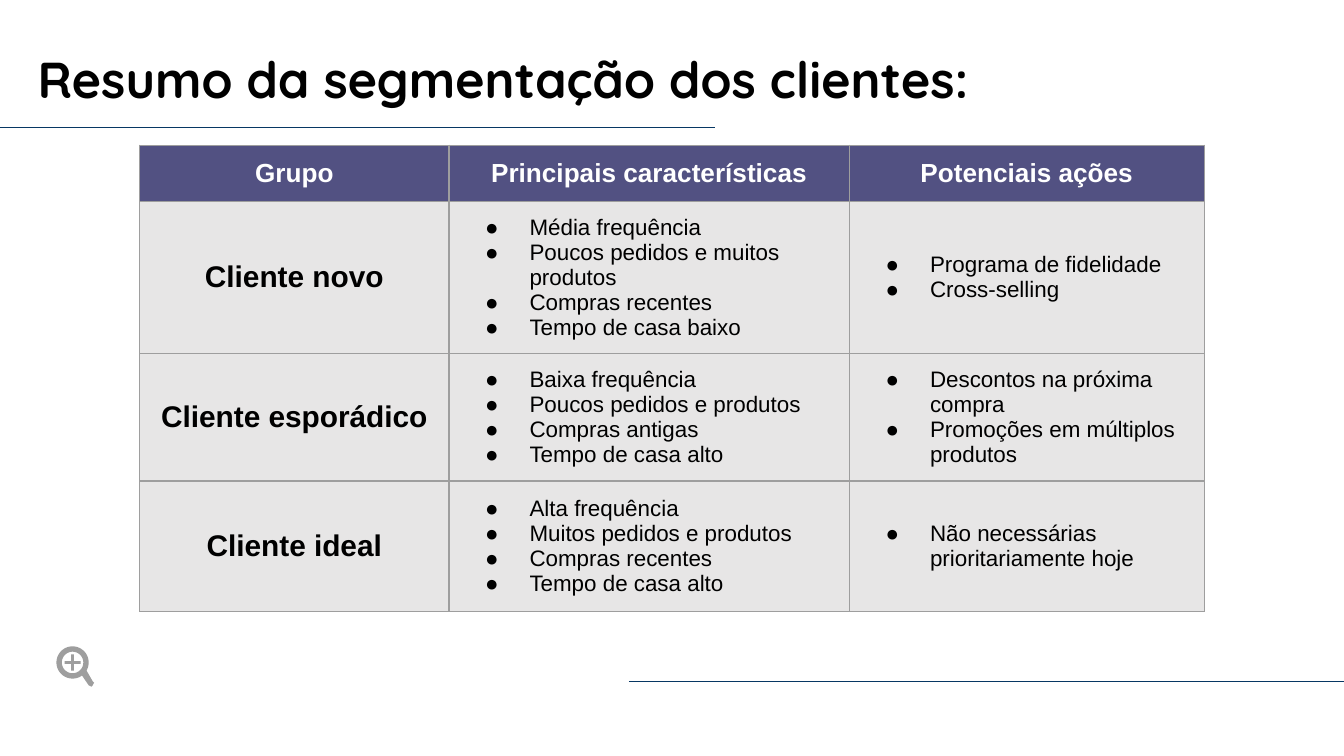
from math import cos, radians, sin

from lxml.etree import SubElement
from pptx import Presentation
from pptx.dml.color import RGBColor
from pptx.enum.shapes import MSO_CONNECTOR
from pptx.enum.text import MSO_ANCHOR, MSO_AUTO_SIZE, PP_ALIGN
from pptx.oxml.ns import qn
from pptx.util import Inches, Pt

HUES = {
    "rule": "073763",
    "head": "525182",
    "body": "E7E6E6",
    "edge": "9E9E9E",
    "ink": "000000",
    "white": "FFFFFF",
}
WIDTHS = [2.3, 2.98, 2.64]
HEIGHTS = [0.39, 1.08, 0.9, 0.97]
HEADS = ["Grupo", "Principais características", "Potenciais ações"]
GROUPS = [
    (
        "Cliente novo",
        ["Média frequência", "Poucos pedidos e muitos produtos",
         "Compras recentes", "Tempo de casa baixo"],
        ["Programa de fidelidade", "Cross-selling"],
    ),
    (
        "Cliente esporádico",
        ["Baixa frequência", "Poucos pedidos e produtos",
         "Compras antigas", "Tempo de casa alto"],
        ["Descontos na próxima compra", "Promoções em múltiplos produtos"],
    ),
    (
        "Cliente ideal",
        ["Alta frequência", "Muitos pedidos e produtos",
         "Compras recentes", "Tempo de casa alto"],
        ["Não necessárias prioritariamente hoje"],
    ),
]


def color(name):
    return RGBColor.from_string(HUES[name])


def add_run(para, text, size, hue="ink", bold=False, face="Arial"):
    run = para.add_run()
    run.text = text
    run.font.name = face
    run.font.size = Pt(size)
    run.font.bold = bold
    run.font.color.rgb = color(hue)


def set_inset(item, side, top):
    item.margin_left = item.margin_right = Inches(side)
    item.margin_top = item.margin_bottom = Inches(top)


def add_title(slide, text):
    title = slide.shapes.title
    title.left, title.top = Inches(0.21), Inches(0.29)
    title.width, title.height = Inches(8.62), Inches(0.65)
    frame = title.text_frame
    frame.word_wrap = True
    frame.auto_size = MSO_AUTO_SIZE.NONE
    frame.vertical_anchor = MSO_ANCHOR.MIDDLE
    set_inset(frame, 0.07, 0.04)
    para = frame.paragraphs[0]
    para.alignment = PP_ALIGN.LEFT
    para.line_spacing = 0.9
    add_run(para, text, 27, bold=True, face="Quicksand")


def add_rule(slide, start, end, top):
    rule = slide.shapes.add_connector(
        MSO_CONNECTOR.STRAIGHT,
        Inches(start), Inches(top), Inches(end), Inches(top),
    )
    rule.line.color.rgb = color("rule")
    rule.line.width = Pt(0.75)
    SubElement(rule._element.spPr, qn("a:effectLst"))


def add_edges(cell):
    props = cell._tc.get_or_add_tcPr()
    for side in ("lnL", "lnR", "lnT", "lnB"):
        edge = SubElement(props, qn(f"a:{side}"), w=str(Pt(0.75)))
        fill = SubElement(edge, qn("a:solidFill"))
        SubElement(fill, qn("a:srgbClr"), val=HUES["edge"])


def style_cell(cell, hue, anchor):
    add_edges(cell)
    cell.fill.solid()
    cell.fill.fore_color.rgb = color(hue)
    cell.vertical_anchor = anchor
    set_inset(cell, 0.1, 0.1)


def fill_label(cell, text, size, hue):
    para = cell.text_frame.paragraphs[0]
    para.alignment = PP_ALIGN.CENTER
    add_run(para, text, size, hue, True)


def fill_list(cell, items):
    frame = cell.text_frame
    for index, item in enumerate(items):
        para = frame.add_paragraph() if index else frame.paragraphs[0]
        props = para._p.get_or_add_pPr()
        props.set("marL", str(Inches(0.5)))
        props.set("indent", str(Inches(-0.33)))
        tint = SubElement(props, qn("a:buClr"))
        SubElement(tint, qn("a:srgbClr"), val=HUES["ink"])
        SubElement(props, qn("a:buFont"), typeface="Arial")
        SubElement(props, qn("a:buChar"), char="●")
        add_run(para, item, 12)


def add_grid(slide):
    table = slide.shapes.add_table(
        len(HEIGHTS), len(WIDTHS), Inches(1.04), Inches(1.08),
        Inches(sum(WIDTHS)), Inches(sum(HEIGHTS)),
    ).table
    for column, width in zip(table.columns, WIDTHS):
        column.width = Inches(width)
    for row, height in zip(table.rows, HEIGHTS):
        row.height = Inches(height)
    for col, head in enumerate(HEADS):
        cell = table.cell(0, col)
        style_cell(cell, "head", MSO_ANCHOR.TOP)
        fill_label(cell, head, 14, "white")
    for row, (name, *lists) in enumerate(GROUPS, 1):
        for col in range(len(WIDTHS)):
            style_cell(table.cell(row, col), "body", MSO_ANCHOR.MIDDLE)
        fill_label(table.cell(row, 0), name, 16, "ink")
        for col, items in enumerate(lists, 1):
            fill_list(table.cell(row, col), items)


def arc(mid, radius, start, end):
    return [
        (mid[0] + radius * cos(radians(turn)), mid[1] + radius * sin(radians(turn)))
        for turn in range(start, end + 1, 6)
    ]


def plus(mid, reach, half):
    steps = [(-half, -reach), (half, -reach), (half, -half)]
    points = []
    for _ in range(4):
        points += [(mid[0] + x, mid[1] + y) for x, y in steps]
        steps = [(-y, x) for x, y in steps]
    return points


def scale(points):
    return [(Inches(x), Inches(y)) for x, y in points]


def add_lens(slide):
    mid = (0.54, 4.93)
    handle = [(0.69, 5.07), (0.7, 5.08), (0.69, 5.1), (0.68, 5.11), (0.66, 5.1)]
    outer = arc(mid, 0.12, 54, 390) + handle
    inner = arc(mid, 0.08, 0, 354)
    first, *others = map(scale, [outer, inner, plus(mid, 0.06, 0.01)])
    pen = slide.shapes.build_freeform(*first[0])
    pen.add_line_segments(first[1:])
    for points in others:
        pen.move_to(*points[0])
        pen.add_line_segments(points[1:])
    lens = pen.convert_to_shape()
    lens.shadow.inherit = False
    lens.fill.solid()
    lens.fill.fore_color.rgb = color("edge")
    lens.line.fill.background()


def main():
    deck = Presentation()
    deck.slide_width = Inches(10)
    deck.slide_height = deck.slide_width * 9 // 16
    slide = deck.slides.add_slide(deck.slide_layouts[5])
    add_rule(slide, -0.01, 5.32, 0.95)
    add_rule(slide, 4.68, 10, 5.07)
    add_title(slide, "Resumo da segmentação dos clientes:")
    add_grid(slide)
    add_lens(slide)
    deck.save("out.pptx")


if __name__ == "__main__":
    main()
